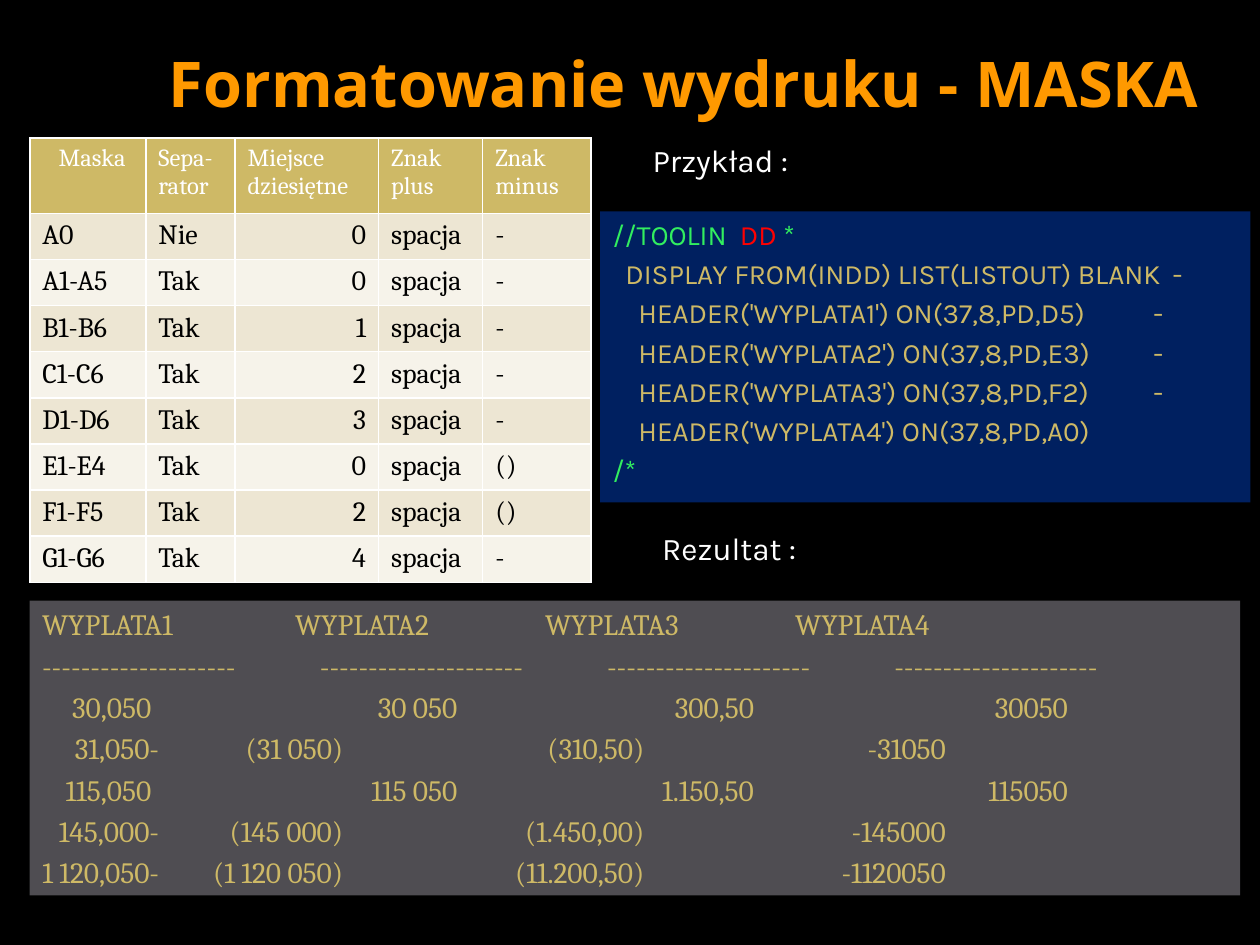
from lxml.etree import SubElement
from pptx import Presentation
from pptx.dml.color import RGBColor
from pptx.enum.text import MSO_ANCHOR, MSO_AUTO_SIZE, PP_ALIGN
from pptx.oxml.ns import qn
from pptx.util import Cm, Pt

# Content
TITLE = "Formatowanie wydruku - MASKA"
EXAMPLE_LABEL = "Przykład :"
RESULT_LABEL = "Rezultat :"

MASK_HEADER = ["Maska", "Sepa-rator", "Miejsce dziesiętne", "Znak plus", "Znak minus"]
MASKS = [
    ("A0", "Nie", "0", "spacja", "-"),
    ("A1-A5", "Tak", "0", "spacja", "-"),
    ("B1-B6", "Tak", "1", "spacja", "-"),
    ("C1-C6", "Tak", "2", "spacja", "-"),
    ("D1-D6", "Tak", "3", "spacja", "-"),
    ("E1-E4", "Tak", "0", "spacja", "()"),
    ("F1-F5", "Tak", "2", "spacja", "()"),
    ("G1-G6", "Tak", "4", "spacja", "-"),
]

# Each code line: tab stop set, then (text, colour role) pieces
CODE = [
    (None, [("//TOOLIN  ", "green"), ("DD ", "red"), ("*", "green")]),
    ("command", [("\tDISPLAY FROM(INDD) LIST(LISTOUT) BLANK\t-", "gold")]),
    ("operand", [("\tHEADER('WYPLATA1') ON(37,8,PD,D5)\t-", "gold")]),
    ("operand", [("\tHEADER('WYPLATA2') ON(37,8,PD,E3)\t-", "gold")]),
    ("operand", [("\tHEADER('WYPLATA3') ON(37,8,PD,F2)\t-", "gold")]),
    ("operand", [("\tHEADER('WYPLATA4') ON(37,8,PD,A0)", "gold")]),
    (None, [("/*", "green")]),
]

# Each report line: tab stop set, then one entry per column
REPORT = [
    ("heading", ["WYPLATA1", "WYPLATA2", "WYPLATA3", "WYPLATA4"]),
    ("rule", ["-" * 20] + ["-" * 21] * 3),
    ("positive", ["", "30,050", "30 050", "300,50", "30050"]),
    ("negative", ["", "31,050-", "(31 050)", "(310,50)", "-31050"]),
    ("positive", ["", "115,050", "115 050", "1.150,50", "115050"]),
    ("negative", ["", "145,000-", "(145 000)", "(1.450,00)", "-145000"]),
    ("negative", ["", "1 120,050-", "(1 120 050)", "(11.200,50)", "-1120050"]),
]

# Tab stops: alignment and distances in cm
TABS = {
    "command": ("l", [0.26, 11.29]),
    "operand": ("l", [0.52, 10.9]),
    "heading": ("l", [5.1, 10.14, 15.18]),
    "rule": ("l", [5.6, 11.39, 17.18]),
    "positive": ("r", [2.2, 8.37, 14.35, 20.68]),
    "negative": ("r", [2.36, 6.07, 12.14, 18.22]),
}

THEME = {
    "colours": {
        "black": "000000", "white": "FFFFFF", "orange": "FF9900", "gold": "CEB966",
        "green": "32EE5F", "red": "FF0101", "navy": "002060", "grey": "4F4D52",
        "band_dark": "EDE6D3", "band_light": "F6F3EA",
    },
    # font, size
    "title": ("Noto Sans", 36),
    "label": ("Karla", 18),
    "code": ("Karla", 16),
    "report": ("Cambria", 16.8),
    "table_head": ("Cambria", 14),
    "table_body": ("Cambria", 16),
}


def colour(role):
    return RGBColor.from_string(THEME["colours"][role])


def paint(part, role):
    part.fill.solid()
    part.fill.fore_color.rgb = colour(role)


def place(shape, left, top, width, height):
    shape.left, shape.top, shape.width, shape.height = map(Cm, (left, top, width, height))


def style(paragraph, kind, role, bold=False):
    name, size = THEME[kind]
    font = paragraph.font
    font.name, font.size, font.bold = name, Pt(size), bold
    if role:
        font.color.rgb = colour(role)


def remove_bullet(paragraph):
    properties = paragraph._p.get_or_add_pPr()
    properties.set("marL", "0")
    properties.set("indent", "0")
    SubElement(properties, qn("a:buNone"))


def set_tabs(paragraph, tabs):
    align, stops = TABS[tabs]
    tab_list = SubElement(paragraph._p.get_or_add_pPr(), qn("a:tabLst"))
    for stop in stops:
        SubElement(tab_list, qn("a:tab"), pos=str(Cm(stop)), algn=align)


def write_lines(shape, lines, kind, role=None, anchor=MSO_ANCHOR.TOP, wrap=True):
    """Write unbulleted lines, each a tab stop set with coloured pieces."""
    frame = shape.text_frame
    frame.word_wrap = wrap
    frame.auto_size = MSO_AUTO_SIZE.NONE
    frame.vertical_anchor = anchor
    for number, (tabs, pieces) in enumerate(lines):
        paragraph = frame.add_paragraph() if number else frame.paragraphs[0]
        if shape.is_placeholder:
            remove_bullet(paragraph)
        if tabs:
            set_tabs(paragraph, tabs)
        paragraph.space_before = Pt(round(THEME[kind][1] * 0.2, 1))
        style(paragraph, kind, role)
        for text, piece_role in pieces:
            run = paragraph.add_run()
            run.text = text
            if piece_role:
                run.font.color.rgb = colour(piece_role)


def border(cell):
    properties = cell._tc.get_or_add_tcPr()
    for position, side in enumerate(["lnL", "lnR", "lnT", "lnB"]):
        line = SubElement(properties, qn(f"a:{side}"), w=str(Pt(1)))
        fill = SubElement(line, qn("a:solidFill"))
        SubElement(fill, qn("a:srgbClr"), val=THEME["colours"]["white"])
        properties.insert(position, line)


def add_mask_table(slide):
    columns = [2.34, 1.8, 2.89, 2.1, 2.18]
    rows = [1.52] + [0.93] * len(MASKS)
    table = slide.shapes.add_table(
        len(rows), len(columns), Cm(0.6), Cm(2.78),
        Cm(sum(columns)), Cm(sum(rows))).table
    for column, width in zip(table.columns, columns):
        column.width = Cm(width)
    for r, values in enumerate([MASK_HEADER] + MASKS):
        table.rows[r].height = Cm(rows[r])
        for c, value in enumerate(values):
            cell = table.cell(r, c)
            cell.text = value
            paragraph = cell.text_frame.paragraphs[0]
            if r == 0:
                style(paragraph, "table_head", "white")
                paint(cell, "gold")
            else:
                style(paragraph, "table_body", "black")
                paint(cell, "band_dark" if r % 2 else "band_light")
                if c == 2:
                    paragraph.alignment = PP_ALIGN.RIGHT
            border(cell)
    table.cell(0, 0).margin_left = Cm(0.58)


def main():
    presentation = Presentation()
    presentation.slide_width, presentation.slide_height = Cm(25.4), Cm(19.05)
    slide = presentation.slides.add_slide(presentation.slide_layouts[1])
    paint(slide.background, "black")
    title, example_label = slide.placeholders

    # Title
    place(title, 1.27, 0.74, 23.14, 1.83)
    title.text_frame.text = TITLE
    title.text_frame.auto_size = MSO_AUTO_SIZE.NONE
    title.text_frame.vertical_anchor = MSO_ANCHOR.MIDDLE
    title.text_frame.paragraphs[0].alignment = PP_ALIGN.RIGHT
    style(title.text_frame.paragraphs[0], "title", "orange", bold=True)

    # Printed report
    report = slide.shapes.add_textbox(Cm(0.6), Cm(12.11), Cm(24.4), Cm(5.94))
    paint(report, "grey")
    write_lines(report,
                [(tabs, [("\t".join(entries), None)]) for tabs, entries in REPORT],
                "report", "gold", MSO_ANCHOR.MIDDLE)

    # Example label
    place(example_label, 12.9, 2.67, 3.61, 1.09)
    write_lines(example_label, [(None, [(EXAMPLE_LABEL, None)])],
                "label", "white", MSO_ANCHOR.MIDDLE)

    # Mask table
    add_mask_table(slide)

    # Example code
    code = slide.shapes.add_textbox(Cm(12.1), Cm(4.26), Cm(13.11), Cm(5.87))
    paint(code, "navy")
    write_lines(code, CODE, "code")

    # Result label
    result_label = slide.shapes.add_textbox(Cm(13.1), Cm(10.53), Cm(3.35), Cm(1.02))
    write_lines(result_label, [(None, [(RESULT_LABEL, None)])],
                "label", "white", wrap=False)

    presentation.save("out.pptx")


if __name__ == "__main__":
    main()
